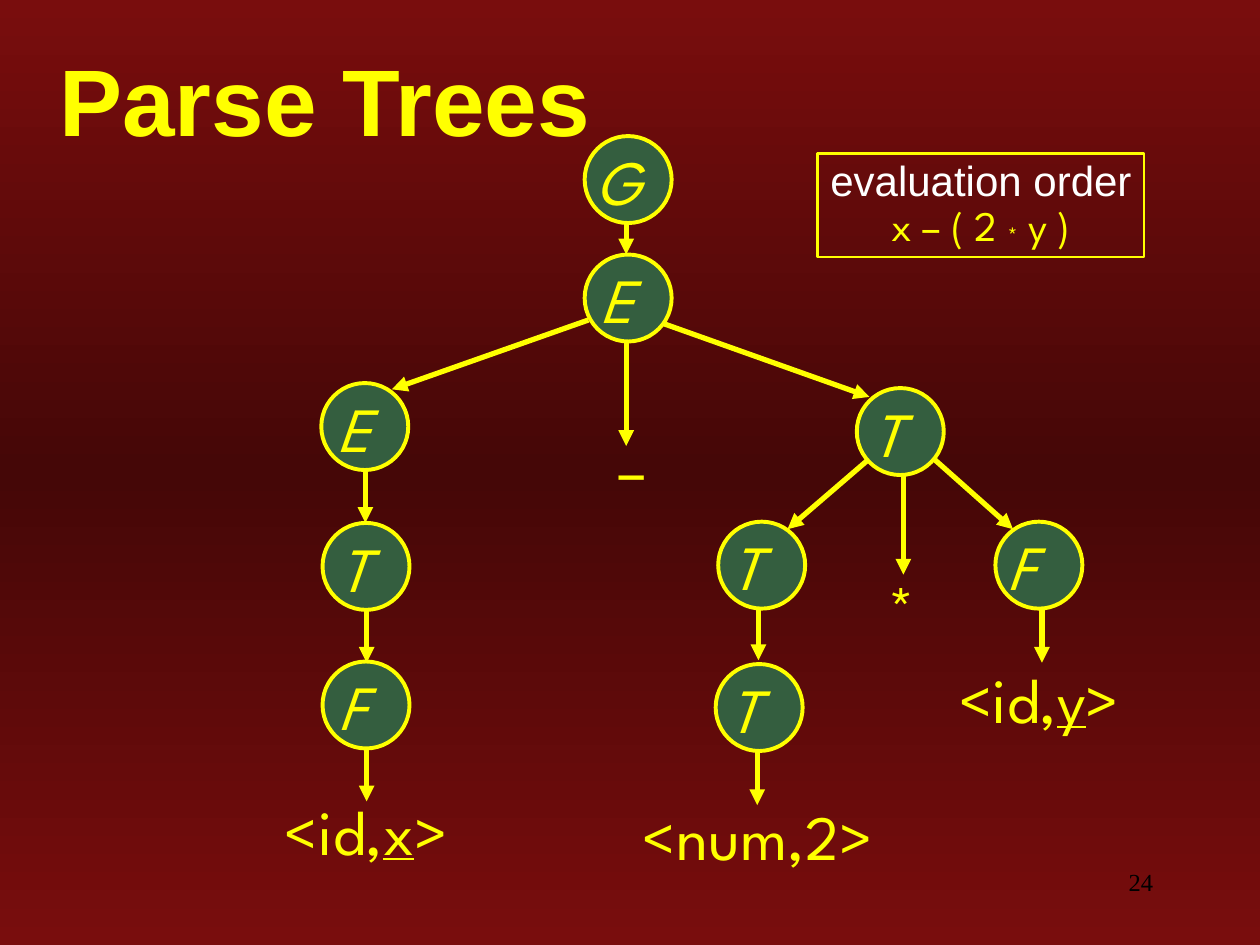
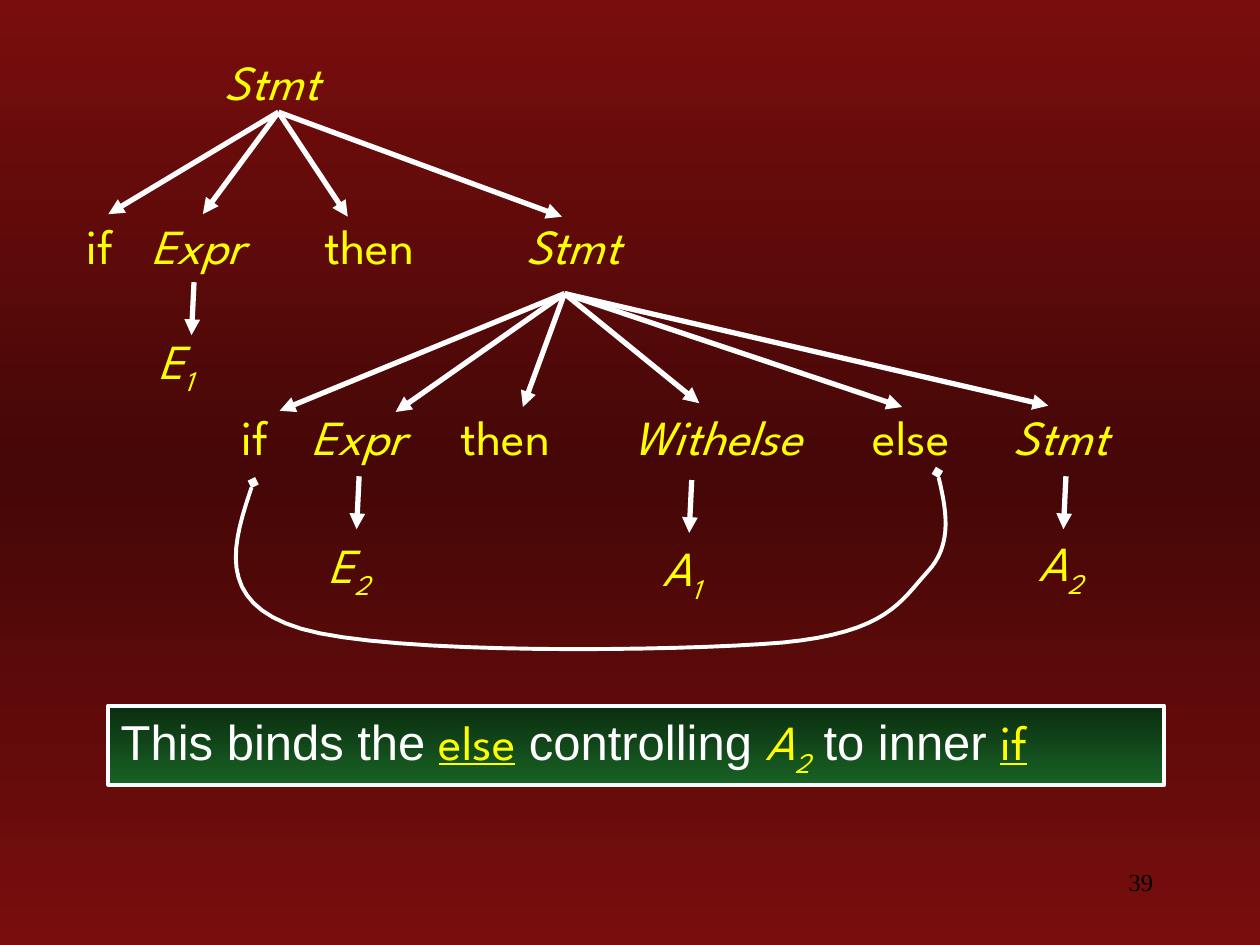
"""Build two slides on parse trees and the dangling else."""
from copy import deepcopy

from lxml.etree import SubElement
from pptx import Presentation
from pptx.dml.color import RGBColor
from pptx.enum.shapes import MSO_CONNECTOR as Link, MSO_SHAPE as Preset
from pptx.enum.text import MSO_ANCHOR as Anchor, MSO_AUTO_SIZE as AutoSize, PP_ALIGN as Align
from pptx.oxml.ns import qn
from pptx.util import Cm, Pt

YELLOW = RGBColor(0xFF, 0xFF, 0x00)
WHITE = RGBColor(0xFF, 0xFF, 0xFF)
BLACK = RGBColor(0x00, 0x00, 0x00)
NODE_GREEN = RGBColor(0x34, 0x5E, 0x3F)
PANEL_DARK = RGBColor(0x0B, 0x2D, 0x10)
PANEL_GREEN = RGBColor(0x18, 0x62, 0x24)
RED = RGBColor(0x79, 0x0D, 0x0D)
DARK_RED = RGBColor(0x45, 0x07, 0x07)

SANS = "Arial"
SYMBOL = "League Spartan"
SERIF = "Times New Roman"
UNIT = 2.54
NODE_SIZE = 0.69
DROP = 0.42
CURVE_STEPS = 16


def grid(*units):
    return [Cm(unit * UNIT) for unit in units]


def bezier(start, first, second, end, t):
    weights = ((1 - t) ** 3, 3 * t * (1 - t) ** 2, 3 * t ** 2 * (1 - t), t ** 3)
    corners = (start, first, second, end)
    return [sum(w * corner[axis] for w, corner in zip(weights, corners)) for axis in (0, 1)]


class Deck:
    def __init__(self):
        self.prs = Presentation()
        self.prs.slide_width, self.prs.slide_height = grid(10, 7.5)
        self.slide = None
        master = self.prs.slide_master
        self.shade(master.background.fill, master.element, RED, DARK_RED, RED)

    def shade(self, fill, owner, *colors):
        fill.gradient()
        fill.gradient_angle = 270
        stops = owner.find(".//" + qn("a:gsLst"))
        for _ in colors[2:]:
            stops.append(deepcopy(stops[0]))
        for index, (stop, color) in enumerate(zip(fill.gradient_stops, colors)):
            stop.position = index / (len(colors) - 1)
            stop.color.rgb = color

    def start(self, number, title=None):
        layout = self.prs.slide_layouts[5 if title else 6]
        self.slide = self.prs.slides.add_slide(layout)
        if title:
            self.title(title)
        self.label([number], 7.17, 6.83, 2.08, 0.5, 14, Align.RIGHT, face=SERIF, color=BLACK)

    def title(self, words):
        heading = self.slide.shapes.title
        heading.left, heading.top, heading.width, heading.height = grid(0.37, 0.37, 9.63, 0.83)
        frame = heading.text_frame
        frame.auto_size = AutoSize.NONE
        frame.vertical_anchor = Anchor.MIDDLE
        paragraph = frame.paragraphs[0]
        self.compose(paragraph, [words], 54, Align.LEFT, face=SANS, bold=True)
        effects = SubElement(paragraph.runs[0]._r.get_or_add_rPr(), qn("a:effectLst"))
        shadow = SubElement(effects, qn("a:outerShdw"), dist="28398", dir="2700000")
        SubElement(shadow, qn("a:srgbClr"), val="C0C0C0")

    def compose(self, paragraph, pieces, size, align=Align.LEFT, face=SYMBOL,
                color=YELLOW, italic=False, bold=False):
        paragraph.alignment = align
        font = paragraph.font
        font.size, font.name, font.italic, font.bold = Pt(size), face, italic, bold
        font.color.rgb = color
        for piece in pieces:
            words, marks = (piece, {}) if isinstance(piece, str) else piece
            run = paragraph.add_run()
            run.text = words
            if "face" in marks:
                run.font.name = marks["face"]
                run.font.color.rgb = marks["color"]
            if "italic" in marks:
                run.font.italic = True
            if "underline" in marks:
                run.font.underline = True
            if "baseline" in marks:
                run._r.get_or_add_rPr().set("baseline", str(marks["baseline"] * 1000))

    def label(self, pieces, left, top, width, height, size, align=Align.LEFT, **style):
        frame = self.slide.shapes.add_textbox(*grid(left, top, width, height)).text_frame
        frame.word_wrap = True
        self.compose(frame.paragraphs[0], pieces, size, align, **style)

    def outline(self, shape, color, width):
        shape.line.color.rgb = color
        shape.line.width = Pt(width)

    def figure(self, preset, left, top, width, height, color, thickness):
        shape = self.slide.shapes.add_shape(preset, *grid(left, top, width, height))
        shape.shadow.inherit = False
        self.outline(shape, color, thickness)
        return shape

    def node(self, letter, left, top, shift):
        circle = self.figure(Preset.OVAL, left, top, NODE_SIZE, NODE_SIZE, YELLOW, 2.25)
        circle.fill.solid()
        circle.fill.fore_color.rgb = NODE_GREEN
        self.label([letter], left + shift, top, 0.53, 0.7, 36, italic=True)

    def panel(self, left, top, width, height, color, thickness, wrap):
        box = self.figure(Preset.RECTANGLE, left, top, width, height, color, thickness)
        box.text_frame.word_wrap = wrap
        box.text_frame.vertical_anchor = Anchor.TOP
        return box

    def arrow(self, start, end, color):
        link = self.slide.shapes.add_connector(Link.STRAIGHT, *grid(*start, *end))
        self.outline(link, color, 3)
        properties = link.element.spPr
        SubElement(properties.find(qn("a:ln")), qn("a:tailEnd"), type="triangle")
        SubElement(properties, qn("a:effectLst"))

    def drop(self, x, y, color, drift=0, length=DROP):
        self.arrow((x, y), (x + drift, y + length), color)

    def curve(self, start, segments, color):
        points = []
        corner = start
        for first, second, end in segments:
            points += [grid(*bezier(corner, first, second, end, step / CURVE_STEPS))
                       for step in range(1, CURVE_STEPS + 1)]
            corner = end
        builder = self.slide.shapes.build_freeform(*grid(*start))
        builder.add_line_segments(points, close=False)
        shape = builder.convert_to_shape()
        shape.shadow.inherit = False
        shape.fill.background()
        self.outline(shape, color, 2.25)
        line = shape.element.spPr.find(qn("a:ln"))
        for end in ("a:headEnd", "a:tailEnd"):
            SubElement(line, qn(end), type="diamond")


def parse_trees(deck):
    deck.start("24", "Parse Trees")
    for x, y, length in ((7.17, 3.72, 0.84), (4.97, 2.64, 0.9), (4.97, 1.77, 0.25),
                         (2.9, 3.73, DROP), (2.91, 4.84, DROP), (2.91, 5.94, DROP),
                         (6.02, 4.82, DROP), (6.01, 5.97, DROP), (8.27, 4.84, DROP)):
        deck.drop(x, y, YELLOW, length=length)
    for letter, left, top, shift in (
            ("G", 4.64, 1.08, -0.01), ("E", 4.64, 2.02, 0.03), ("E", 2.55, 3.04, 0.03),
            ("T", 2.56, 4.15, 0.03), ("F", 2.56, 5.25, 0.03), ("T", 6.8, 3.08, 0.02),
            ("T", 5.7, 4.14, 0), ("F", 7.9, 4.14, 0), ("T", 5.68, 5.27, 0)):
        deck.node(letter, left, top, shift)
    for start, end in (((4.67, 2.54), (3.11, 3.09)), ((5.27, 2.57), (6.9, 3.15)),
                       ((6.89, 3.65), (6.25, 4.2)), ((7.42, 3.65), (8.04, 4.2))):
        deck.arrow(start, end, YELLOW)

    underlined = {"underline": True}
    for pieces, left, top, width in (
            (["<id,", ("x", underlined), ">"], 2.05, 6.24, 1.72),
            (["<id,", ("y", underlined), ">"], 7.37, 5.19, 1.76),
            (["<num,2>"], 4.82, 6.28, 2.39)):
        deck.label(pieces, left, top, width, 0.7, 36, Align.CENTER)
    for operator, left, top in (("–", 4.81, 3.36), ("*", 6.95, 4.46)):
        deck.label([operator], left, top, 0.41, 0.7, 36)

    order = deck.panel(6.49, 1.22, 2.59, 0.82, YELLOW, 1.5, wrap=False)
    order.fill.background()
    heading = order.text_frame.paragraphs[0]
    formula = order.text_frame.add_paragraph()
    deck.compose(heading, ["evaluation order"], 24, Align.CENTER, face=SANS, color=WHITE)
    deck.compose(formula, ["x – ( 2 ", ("*", {"baseline": -6}), " y )"], 24, Align.CENTER)
    heading.line_spacing = formula.line_spacing = 0.9


def dangling_else(deck):
    deck.start("39")
    subscript = {"baseline": -25}
    for word, left, top, width in (
            ("Stmt", 1.45, 0.36, 1.42), ("Expr", 0.86, 1.66, 1.42), ("Stmt", 3.82, 1.66, 1.46),
            ("Expr", 2.19, 3.18, 1.31), ("Withelse", 4.74, 3.18, 1.91),
            ("Stmt", 7.75, 3.18, 1.34)):
        deck.label([word], left, top, width, 0.57, 28, Align.CENTER, italic=True)
    for keyword, left, top, width, align in (
            ("if", 0.38, 1.66, 0.83, Align.CENTER), ("then", 2.48, 1.66, 1.27, Align.LEFT),
            ("if", 1.79, 3.18, 0.47, Align.CENTER), ("then", 3.56, 3.18, 1.14, Align.LEFT),
            ("else", 6.83, 3.18, 1.25, Align.LEFT)):
        deck.label([keyword], left, top, width, 0.57, 28, align)
    for letter, index, left, top in (("E", "1", 1.16, 2.57), ("E", "2", 2.51, 4.19),
                                     ("A", "1", 5.16, 4.22), ("A", "2", 8.14, 4.18)):
        deck.label([letter, (index, subscript)], left, top, 0.93, 0.63, 28, italic=True)

    outer = ((0.86, 1.7), (1.61, 1.7), (2.76, 1.72), (4.46, 1.72))
    inner = ((2.22, 3.26), (3.14, 3.27), (4.15, 3.23), (5.55, 3.2), (7.16, 3.23), (8.32, 3.22))
    for apex, children in (((2.21, 0.89), outer), ((4.48, 2.33), inner)):
        for child in children:
            deck.arrow(apex, child, WHITE)
    for x, y in ((1.54, 2.24), (2.85, 3.78), (5.49, 3.81), (8.46, 3.78)):
        deck.drop(x, y, WHITE, drift=-0.02)

    binding = deck.panel(0.86, 5.6, 8.38, 0.63, WHITE, 2.25, wrap=True)
    deck.shade(binding.fill, binding.element, PANEL_DARK, PANEL_GREEN)
    symbol = {"face": SYMBOL, "color": YELLOW}
    keyword = {**symbol, "underline": True}
    variable = {**symbol, "italic": True}
    deck.compose(binding.text_frame.paragraphs[0], [
        "This binds the ", ("else", keyword), " controlling ", ("A", variable),
        ("2", {**variable, **subscript}), " to inner ", ("if", keyword),
    ], 28, face=SANS, color=WHITE)

    deck.curve((2.01, 3.83), (
        ((1.85, 4.3), (1.69, 4.78), (2.39, 4.99)),
        ((3.09, 5.2), (5.38, 5.17), (6.21, 5.1)),
        ((7.04, 5.02), (7.15, 4.77), (7.36, 4.54)),
        ((7.57, 4.32), (7.51, 4.03), (7.44, 3.75)),
    ), WHITE)


def main():
    deck = Deck()
    parse_trees(deck)
    dangling_else(deck)
    deck.prs.save("out.pptx")


if __name__ == "__main__":
    main()
